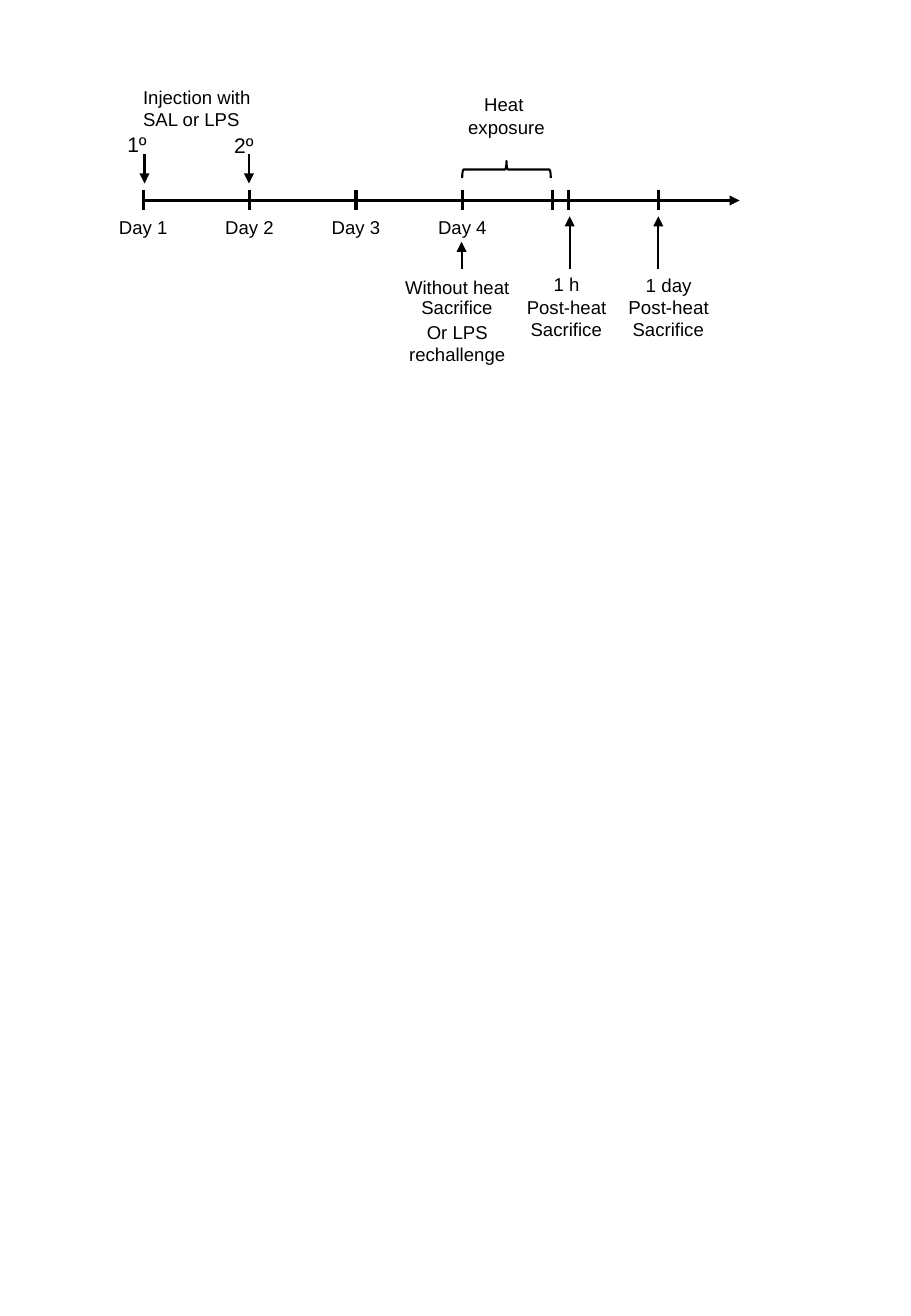
from dataclasses import dataclass

from lxml.etree import SubElement
from pptx import Presentation
from pptx.dml.color import RGBColor
from pptx.enum.shapes import MSO_CONNECTOR, MSO_SHAPE
from pptx.enum.text import MSO_ANCHOR, MSO_AUTO_SIZE, PP_ALIGN
from pptx.oxml.ns import qn
from pptx.shapes.autoshape import Shape
from pptx.slide import Slide
from pptx.util import Inches, Pt

BLACK = "000000"
FONT = "Arial"
AXIS_Y = 1.65
TICK_TOP, TICK_BOTTOM = 1.56, 1.73
DAY_1_X, DAY_STEP = 1.18, 0.876
HEAT_END_X, ONE_HOUR_X, ONE_DAY_X = 4.55, 4.68, 5.42


@dataclass(frozen=True)
class Label:
    text: str
    left: float
    top: float
    width: float
    height: float = 0.29
    size: float = 11
    align: PP_ALIGN = PP_ALIGN.LEFT
    anchor: MSO_ANCHOR = MSO_ANCHOR.TOP
    wrap: bool = False


@dataclass(frozen=True)
class Arrow:
    x: float
    start_y: float
    end_y: float


LABELS = [
    Label("Injection with\nSAL or LPS", 1.08, 0.66, 1.1, 0.47),
    Label("1º", 0.95, 1.03, 0.36, 0.31, size=12.5),
    Label("2º", 1.83, 1.04, 0.36, 0.31, size=12.5),
    Label("Heat \nexposure", 3.75, 0.72, 0.84, 0.47, align=PP_ALIGN.CENTER),
    Label("Without heat", 3.23, 2.22, 1.07, align=PP_ALIGN.CENTER),
    Label("Sacrifice", 3.37, 2.39, 0.79),
    Label("Or LPS rechallenge", 3.2, 2.59, 1.13, 0.47,
          align=PP_ALIGN.CENTER, wrap=True),
    Label("1 h\nPost-heat", 4.23, 2.2, 0.87, 0.47, align=PP_ALIGN.CENTER),
    Label("Sacrifice", 4.27, 2.57, 0.79),
    Label("1 day\nPost-heat", 5.07, 2.2, 0.87, 0.47, size=11.1,
          align=PP_ALIGN.CENTER),
    Label("Sacrifice", 5.11, 2.57, 0.79),
]

ARROWS = [
    Arrow(1.19, 1.27, 1.51),
    Arrow(2.05, 1.27, 1.51),
    Arrow(3.8, 2.21, 1.99),
    Arrow(4.69, 2.21, 1.78),
    Arrow(5.42, 2.21, 1.78),
]


def rgb(color: str) -> RGBColor:
    return RGBColor.from_string(color)


def write_text(box: Shape, text: str, *, size: float, align: PP_ALIGN,
               anchor: MSO_ANCHOR, wrap: bool, color: str = BLACK) -> None:
    frame = box.text_frame
    frame.text = text
    frame.word_wrap = wrap
    frame.auto_size = MSO_AUTO_SIZE.SHAPE_TO_FIT_TEXT
    frame.vertical_anchor = anchor
    for paragraph in frame.paragraphs:
        paragraph.alignment = align
        for run in paragraph.runs:
            run.font.name = FONT
            run.font.size = Pt(size)
            run.font.color.rgb = rgb(color)


def add_label(slide: Slide, label: Label) -> None:
    box = slide.shapes.add_textbox(Inches(label.left), Inches(label.top),
                                   Inches(label.width), Inches(label.height))
    write_text(box, label.text, size=label.size, align=label.align,
               anchor=label.anchor, wrap=label.wrap)


def add_line(slide: Slide, x1: float, y1: float, x2: float, y2: float,
             width: float, arrowhead: bool = False) -> None:
    line = slide.shapes.add_connector(MSO_CONNECTOR.STRAIGHT, Inches(x1),
                                      Inches(y1), Inches(x2), Inches(y2))
    line.line.color.rgb = rgb(BLACK)
    line.line.width = Pt(width)
    if arrowhead:
        SubElement(line.line._get_or_add_ln(), qn("a:tailEnd"), type="triangle")
    SubElement(line._element.spPr, qn("a:effectLst"))


def add_heat_brace(slide: Slide) -> None:
    brace = slide.shapes.add_shape(MSO_SHAPE.RIGHT_BRACE, Inches(4.1),
                                   Inches(1.03), Inches(0.14), Inches(0.73))
    brace.rotation = 270
    brace.shadow.inherit = False
    brace.fill.background()
    brace.line.color.rgb = rgb(BLACK)
    brace.line.width = Pt(1.25)


def main() -> None:
    deck = Presentation()
    deck.slide_width, deck.slide_height = Inches(7.5), Inches(10.83)
    slide = deck.slides.add_slide(deck.slide_layouts[6])

    add_line(slide, 1.17, AXIS_Y, 6.09, AXIS_Y, 2, arrowhead=True)
    day_xs = [DAY_1_X + DAY_STEP * index for index in range(4)]
    for x in [*day_xs, HEAT_END_X, ONE_HOUR_X, ONE_DAY_X]:
        add_line(slide, x, TICK_TOP, x, TICK_BOTTOM, 2)
    for day, x in enumerate(day_xs, start=1):
        add_label(slide, Label(f"Day {day}", x - 0.3, 1.72, 0.62,
                               anchor=MSO_ANCHOR.MIDDLE))

    add_heat_brace(slide)
    for arrow in ARROWS:
        add_line(slide, arrow.x, arrow.start_y, arrow.x, arrow.end_y, 1.25,
                 arrowhead=True)
    for label in LABELS:
        add_label(slide, label)

    deck.save("out.pptx")


if __name__ == "__main__":
    main()
